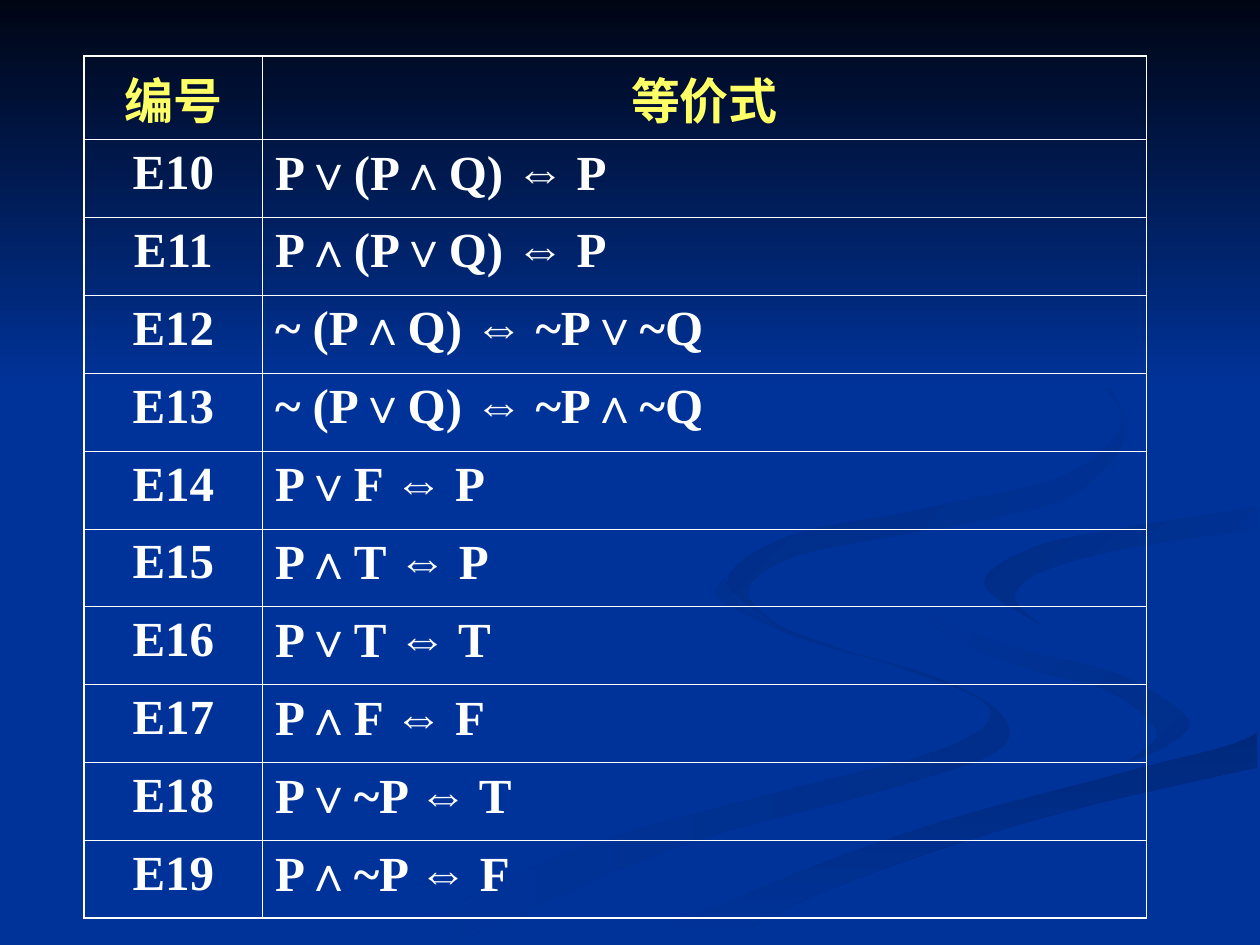
from lxml import etree
from pptx import Presentation, util as u
from pptx.dml.color import RGBColor
from pptx.enum import shapes, text
from pptx.oxml.ns import qn

WHITE, YELLOW, BLUE, NIGHT = "FFFFFF", "FFFF66", "003399", "000514"
THICK, THIN = 1.08, 0.45
CURVE_STEPS = 6
FIRST_NUMBER = 10

EQUIVALENCES = [
    "P∨(P∧Q) ⇔ P",
    "P∧(P∨Q) ⇔ P",
    "~ (P∧Q) ⇔ ~P∨~Q",
    "~ (P∨Q) ⇔ ~P∧~Q",
    "P∨F ⇔ P",
    "P∧T ⇔ P",
    "P∨T ⇔ T",
    "P∧F ⇔ F",
    "P∨~P ⇔ T",
    "P∧~P ⇔ F",
]

STREAM_LEFT = [(14.6, 11.66), (14.53, 12.09), (16.03, 12.83), (18.14, 13.46), (19.94, 14.27),
               (19.02, 15.09), (15.65, 15.98), (11.63, 17.12), (7.62, 19.02)]
STREAM_RIGHT = [(14.6, 11.66), (15.09, 12.32), (16.79, 13.03), (18.92, 13.67), (20.19, 14.4),
                (20.09, 15.16), (17.75, 15.95), (13.51, 17.12), (9.17, 19.02)]
TWIST_OUTER = [(18.4, 11.78), (18.92, 12.45), (20.6, 13.08), (22.56, 13.59), (23.95, 14.48),
               (23.5, 15.06), (22.7, 15.37)]
TWIST_INNER = [(18.4, 11.78), (18.95, 12.7), (20.7, 13.46), (22.35, 13.94), (23.32, 14.76),
               (22.7, 15.37)]
RAMP_TOP = [(12.78, 19.02), (14.45, 18.26), (16.81, 17.3), (19.41, 16.43), (22.94, 15.49),
            (25.35, 14.76)]
RAMP_BOTTOM = [(14.5, 19.02), (16.48, 18.03), (19.1, 17.07), (21.87, 16.26), (25.35, 15.47)]
HOOK_OUTER = [(25.35, 10.21), (22.83, 10.62), (20.88, 11.02), (19.84, 11.76), (20.98, 12.6)]
HOOK_INNER = [(25.35, 10.67), (22.76, 11.05), (21.03, 11.51), (20.45, 12.04), (20.98, 12.6)]
CREST_OUTER = [(19.35, 5.92), (20.85, 6.63), (22.17, 7.59), (22.71, 8.74), (21.72, 9.93),
               (19.96, 10.46), (17.35, 10.92), (15.85, 11.28), (15.06, 11.94), (15.8, 12.7)]
CREST_INNER = [(19.35, 5.92), (20.98, 6.76), (22.25, 7.77), (22.56, 8.66), (21.39, 9.6),
               (18.62, 10.26), (15.88, 10.82), (14.66, 11.73), (15.8, 12.7)]
RIVER_HEAD = [(25.37, 9.83), (23.37, 10.19), (21.08, 10.54), (19.18, 10.97)]
RIVER_TAIL = [(21.41, 15.7), (17.88, 16.64), (14.55, 17.86), (12.12, 19.02)]
RIVER_LEFT = RIVER_HEAD + TWIST_OUTER + RIVER_TAIL
RIVER_RIGHT = HOOK_OUTER + [(22.96, 13.18), (25.37, 13.67)] + RAMP_TOP[::-1]

RIBBONS = [
    (STREAM_LEFT, STREAM_RIGHT, "002E8A", BLUE, 180),
    (TWIST_OUTER, TWIST_INNER, "002E8A", BLUE, 225),
    (RAMP_TOP, RAMP_BOTTOM, "00297C", BLUE, 90),
    (RIVER_LEFT, RIVER_RIGHT, BLUE, BLUE, 0),
    (HOOK_OUTER, HOOK_INNER, BLUE, "002C85", 225),
    (CREST_OUTER, CREST_INNER, BLUE, "002B81", 225),
]


def rgb(value):
    return RGBColor.from_string(value)


def paint(shape, start, end, clockwise_angle):
    if start == end:
        shape.fill.solid()
        shape.fill.fore_color.rgb = rgb(start)
    else:
        shape.fill.gradient()
        shape.fill.gradient_angle = (360 - clockwise_angle) % 360
        for stop, color in zip(shape.fill.gradient_stops, (start, end)):
            stop.color.rgb = rgb(color)
    shape.line.fill.background()
    shape.shadow.inherit = False


def catmull_rom(before, start, end, after, t):
    return 0.5 * (
        2 * start
        + (end - before) * t
        + (2 * before - 5 * start + 4 * end - after) * t ** 2
        + (3 * start - before - 3 * end + after) * t ** 3
    )


def smooth(knots):
    padded = [knots[0], *knots, knots[-1]]
    curve = []
    for neighbours in zip(padded, padded[1:], padded[2:], padded[3:]):
        xs, ys = zip(*neighbours)
        for step in range(CURVE_STEPS):
            t = step / CURVE_STEPS
            curve.append((catmull_rom(*xs, t), catmull_rom(*ys, t)))
    return curve + [knots[-1]]


def add_ribbon(slide, bank, opposite_bank, start, end, angle):
    outline = smooth(bank) + smooth(opposite_bank)[::-1]
    points = [(u.Cm(x), u.Cm(y)) for x, y in outline]
    builder = slide.shapes.build_freeform(*points[0])
    builder.add_line_segments(points[1:], close=True)
    paint(builder.convert_to_shape(), start, end, angle)


def add_run(paragraph, content, color=WHITE, font="Times New Roman", size=28, bold=True):
    run = paragraph.add_run()
    run.text = content
    run.font.name = font
    run.font.size = u.Pt(size)
    run.font.bold = bold
    run.font.color.rgb = rgb(color)


def border_cell(cell, **widths):
    properties = cell._tc.get_or_add_tcPr()
    for side, width in widths.items():
        edge = etree.SubElement(properties, qn(f"a:ln{side}"), w=str(u.Pt(width)))
        fill = etree.SubElement(edge, qn("a:solidFill"))
        etree.SubElement(fill, qn("a:srgbClr"), val=WHITE)
    cell.fill.background()


def rule_table(table):
    last_row, last_column = len(table.rows) - 1, len(table.columns) - 1
    for row in range(last_row + 1):
        for column in range(last_column + 1):
            border_cell(
                table.cell(row, column),
                L=THICK if column == 0 else THIN,
                R=THICK if column == last_column else THIN,
                T=THICK if row == 0 else THIN,
                B=THICK if row == last_row else THIN,
            )


def write_centred(cell, content, **style):
    paragraph = cell.text_frame.paragraphs[0]
    paragraph.alignment = text.PP_ALIGN.CENTER
    add_run(paragraph, content, **style)


def write_formula(cell, equivalence):
    paragraph = cell.text_frame.paragraphs[0]
    left, sign, right = equivalence.partition("⇔")
    add_run(paragraph, left)
    add_run(paragraph, sign, font="Arial")
    add_run(paragraph, right)


def add_equivalence_table(slide):
    rows = len(EQUIVALENCES) + 1
    frame = slide.shapes.add_table(rows, 2, u.Cm(1.7), u.Cm(1.13), u.Cm(21.41), u.Cm(1.57 * rows))
    table = frame.table
    table.first_row = table.horz_banding = False
    table.columns[0].width = u.Cm(3.59)
    table.columns[1].width = u.Cm(17.82)
    rule_table(table)

    for column, heading in enumerate(("编号", "等价式")):
        write_centred(table.cell(0, column), heading, color=YELLOW)
    for row, equivalence in enumerate(EQUIVALENCES, start=1):
        write_centred(table.cell(row, 0), f"E{FIRST_NUMBER + row - 1}")
        write_formula(table.cell(row, 1), equivalence)


def main():
    deck = Presentation()
    deck.slide_width, deck.slide_height = u.Cm(25.4), u.Cm(19.05)
    slide = deck.slides.add_slide(deck.slide_layouts[6])
    slide.background.fill.solid()
    slide.background.fill.fore_color.rgb = rgb(BLUE)
    for ribbon in RIBBONS:
        add_ribbon(slide, *ribbon)
    sky = slide.shapes.add_shape(shapes.MSO_SHAPE.RECTANGLE, 0, 0, deck.slide_width, u.Cm(7.82))
    paint(sky, NIGHT, BLUE, 90)
    add_equivalence_table(slide)
    deck.save("out.pptx")


if __name__ == "__main__":
    main()
